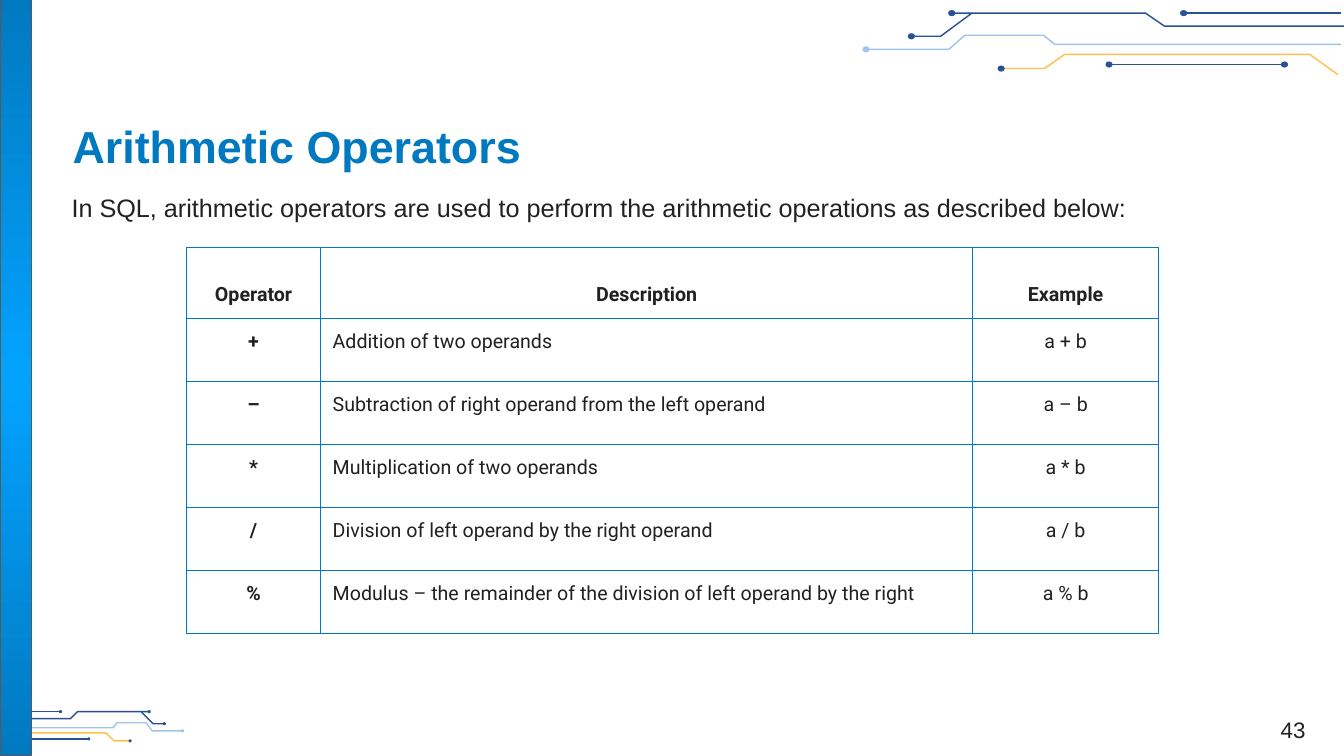
"""Build the Arithmetic Operators slide."""
import pptx
import pptx.util
import pptx.oxml
import pptx.oxml.ns
from pptx.dml.color import RGBColor
from pptx.enum.shapes import MSO_CONNECTOR, MSO_SHAPE
from pptx.enum.text import MSO_ANCHOR, MSO_AUTO_SIZE, PP_ALIGN
from pptx.util import Inches

BLUE = RGBColor(0x00, 0x79, 0xC0)
BRIGHT = RGBColor(0x03, 0xA3, 0xFF)
NAVY = RGBColor(0x28, 0x52, 0x93)
SKY = RGBColor(0x9F, 0xC5, 0xE8)
GOLD = RGBColor(0xFE, 0xC1, 0x4F)
GREY = RGBColor(0x59, 0x59, 0x59)
INK = RGBColor(0x22, 0x22, 0x22)
CELL_INK = RGBColor(0x21, 0x21, 0x21)
WHITE = RGBColor(0xFF, 0xFF, 0xFF)

TITLE = "Arithmetic Operators"
INTRO = ("In SQL, arithmetic operators are used to perform "
         "the arithmetic operations as described below:")
PAGE = "43"
ROWS = [
    ("Operator", "Description", "Example"),
    ("+", "Addition of two operands", "a + b"),
    ("–", "Subtraction of right operand from the left operand", "a – b"),
    ("*", "Multiplication of two operands", "a * b"),
    ("/", "Division of left operand by the right operand", "a / b"),
    ("%", "Modulus – the remainder of the division of left operand by the right", "a % b"),
]
COL_WIDTHS = (1.33, 6.47, 1.84)
HEADER_HEIGHT, ROW_HEIGHT = 0.7, 0.625

# Each trace: line colour, dot colour, points, points that carry a dot
BOTTOM_TRACES = [
    (NAVY, NAVY, [(0.04, 7.13), (0.7, 7.13), (0.77, 7.06), (1.48, 7.06)], [(1.48, 7.06)]),
    (NAVY, NAVY, [(1.4, 7.06), (1.52, 7.18), (1.63, 7.18)], [(1.63, 7.18)]),
    (NAVY, NAVY, [(0, 7.06), (0.6, 7.06)], [(0.6, 7.06)]),
    (GOLD, NAVY, [(0.01, 7.38), (0.12, 7.27), (1.05, 7.27), (1.13, 7.35), (1.29, 7.35)],
     [(1.29, 7.35)]),
    (NAVY, NAVY, [(0.21, 7.33), (0.88, 7.33)], [(0.21, 7.33), (0.88, 7.33)]),
    (SKY, SKY, [(0.08, 7.22), (1.12, 7.22), (1.16, 7.17), (1.45, 7.17), (1.51, 7.25),
                (1.81, 7.25)], [(1.81, 7.25)]),
]
TOP_TRACES = [
    (NAVY, NAVY, [(13.33, 0.26), (11.55, 0.26), (11.36, 0.13), (9.44, 0.13)], [(9.44, 0.13)]),
    (NAVY, NAVY, [(9.64, 0.13), (9.33, 0.36), (9.04, 0.36)], [(9.04, 0.36)]),
    (NAVY, NAVY, [(13.3, 0.13), (11.74, 0.13)], [(11.74, 0.13)]),
    (GOLD, NAVY, [(13.27, 0.74), (12.99, 0.54), (10.56, 0.54), (10.36, 0.68), (9.93, 0.68)],
     [(9.93, 0.68)]),
    (NAVY, NAVY, [(12.74, 0.64), (11, 0.64)], [(12.74, 0.64), (11, 0.64)]),
    (SKY, SKY, [(13.3, 0.44), (10.46, 0.44), (10.35, 0.35), (9.57, 0.35), (9.41, 0.49),
                (8.59, 0.49)], [(8.59, 0.49)]),
]


def sub(parent, tag, **attrs):
    el = parent.makeelement(pptx.oxml.ns.qn(tag), attrs)
    parent.append(el)
    return el


def write(tf, text, size, color, font="Arial", bold=False, align=PP_ALIGN.LEFT, spacing=1.0):
    p = tf.paragraphs[0]
    p.alignment, p.line_spacing = align, spacing
    p.space_before = pptx.util.Pt(0)
    r = p.add_run()
    r.text = text
    r.font.name, r.font.size, r.font.bold = font, pptx.util.Pt(size), bold
    r.font.color.rgb = color
    return p


def frame(sp, box, anchor, inset):
    sp.left, sp.top, sp.width, sp.height = map(Inches, box)
    tf = sp.text_frame
    tf.word_wrap, tf.auto_size, tf.vertical_anchor = True, MSO_AUTO_SIZE.NONE, anchor
    tf.margin_left = tf.margin_right = Inches(0.1)
    tf.margin_top = tf.margin_bottom = Inches(inset)
    return tf


def draw_trace(shapes, color, dot_color, points, dots, dot_w, dot_h):
    pts = [(Inches(x), Inches(y)) for x, y in points]
    if len(pts) == 2:
        sp = shapes.add_connector(MSO_CONNECTOR.STRAIGHT, *pts[0], *pts[1])
        sub(sp._element.spPr, "a:effectLst")
    else:
        builder = shapes.build_freeform(*pts[0])
        builder.add_line_segments(pts[1:], close=False)
        sp = builder.convert_to_shape()
        sp.fill.background()
        sp.shadow.inherit = False
    sp.line.color.rgb, sp.line.width = color, pptx.util.Pt(1.03)
    for x, y in dots:
        dot = shapes.add_shape(MSO_SHAPE.OVAL, Inches(x - dot_w / 2), Inches(y - dot_h / 2),
                               Inches(dot_w), Inches(dot_h))
        dot.shadow.inherit = False
        dot.fill.solid()
        dot.fill.fore_color.rgb = dot.line.color.rgb = dot_color
        dot.line.width = pptx.util.Pt(0.75)


def draw_bar(shapes):
    bar = shapes.add_shape(MSO_SHAPE.RECTANGLE, 0, 0, Inches(0.31), Inches(7.5))
    bar.shadow.inherit = False
    bar.line.color.rgb, bar.line.width = GREY, pptx.util.Pt(0.75)
    bar.fill.gradient()
    for stop, color in zip(bar.fill.gradient_stops, (BRIGHT, BLUE)):
        stop.color.rgb = color
    grad = bar._element.spPr.find(pptx.oxml.ns.qn("a:gradFill"))
    grad.remove(grad.find(pptx.oxml.ns.qn("a:lin")))
    sub(sub(grad, "a:path", path="circle"), "a:fillToRect",
        l="50000", t="50000", r="50000", b="50000")


def format_cell(cell, text, row, col):
    cell.margin_left = cell.margin_right = cell.margin_top = cell.margin_bottom = Inches(0.12)
    write(cell.text_frame, text, 14, CELL_INK, font="Roboto", bold=row == 0 or col == 0,
          align=PP_ALIGN.LEFT if row and col == 1 else PP_ALIGN.CENTER,
          spacing=1.0 if row else 2.0)
    tc_pr = cell._tc.get_or_add_tcPr()
    for side in ("a:lnL", "a:lnR", "a:lnT", "a:lnB"):
        ln = sub(tc_pr, side, w="9525")
        sub(sub(ln, "a:solidFill"), "a:srgbClr", val=str(BLUE))
    cell.fill.solid()
    cell.fill.fore_color.rgb = WHITE


def draw_table(shapes):
    heights = [HEADER_HEIGHT] + [ROW_HEIGHT] * (len(ROWS) - 1)
    table = shapes.add_table(len(ROWS), len(COL_WIDTHS), Inches(1.85), Inches(2.46),
                             Inches(sum(COL_WIDTHS)), Inches(sum(heights))).table
    table.first_row = table.horz_banding = False
    for column, width in zip(table.columns, COL_WIDTHS):
        column.width = Inches(width)
    for i, (height, texts) in enumerate(zip(heights, ROWS)):
        table.rows[i].height = Inches(height)
        for j, text in enumerate(texts):
            format_cell(table.cell(i, j), text, i, j)


def main():
    prs = pptx.Presentation()
    prs.slide_width, prs.slide_height = Inches(13.33), Inches(7.5)
    s = prs.slides.add_slide(prs.slide_layouts[1])
    for traces, dot_w, dot_h in ((BOTTOM_TRACES, 0.02, 0.02), (TOP_TRACES, 0.06, 0.05)):
        for trace in traces:
            draw_trace(s.shapes, *trace, dot_w, dot_h)
    draw_bar(s.shapes)
    tf = frame(s.shapes.title, (0.62, 1.06, 11.84, 0.77), MSO_ANCHOR.MIDDLE, 0.1)
    write(tf, TITLE, 32, BLUE, bold=True)
    tf = frame(s.placeholders[1], (0.61, 1.81, 12.21, 0.59), MSO_ANCHOR.TOP, 0.1)
    p_pr = write(tf, INTRO, 18, INK)._p.get_or_add_pPr()
    p_pr.set("marL", "0")
    p_pr.set("indent", "0")
    sub(p_pr, "a:buNone")
    tf = frame(s.shapes.add_textbox(0, 0, 0, 0), (12.4, 6.83, 0.85, 0.59),
               MSO_ANCHOR.BOTTOM, 0.05)
    write(tf, PAGE, 16, INK, align=PP_ALIGN.CENTER)
    draw_table(s.shapes)
    prs.save("out.pptx")


if __name__ == "__main__":
    main()
